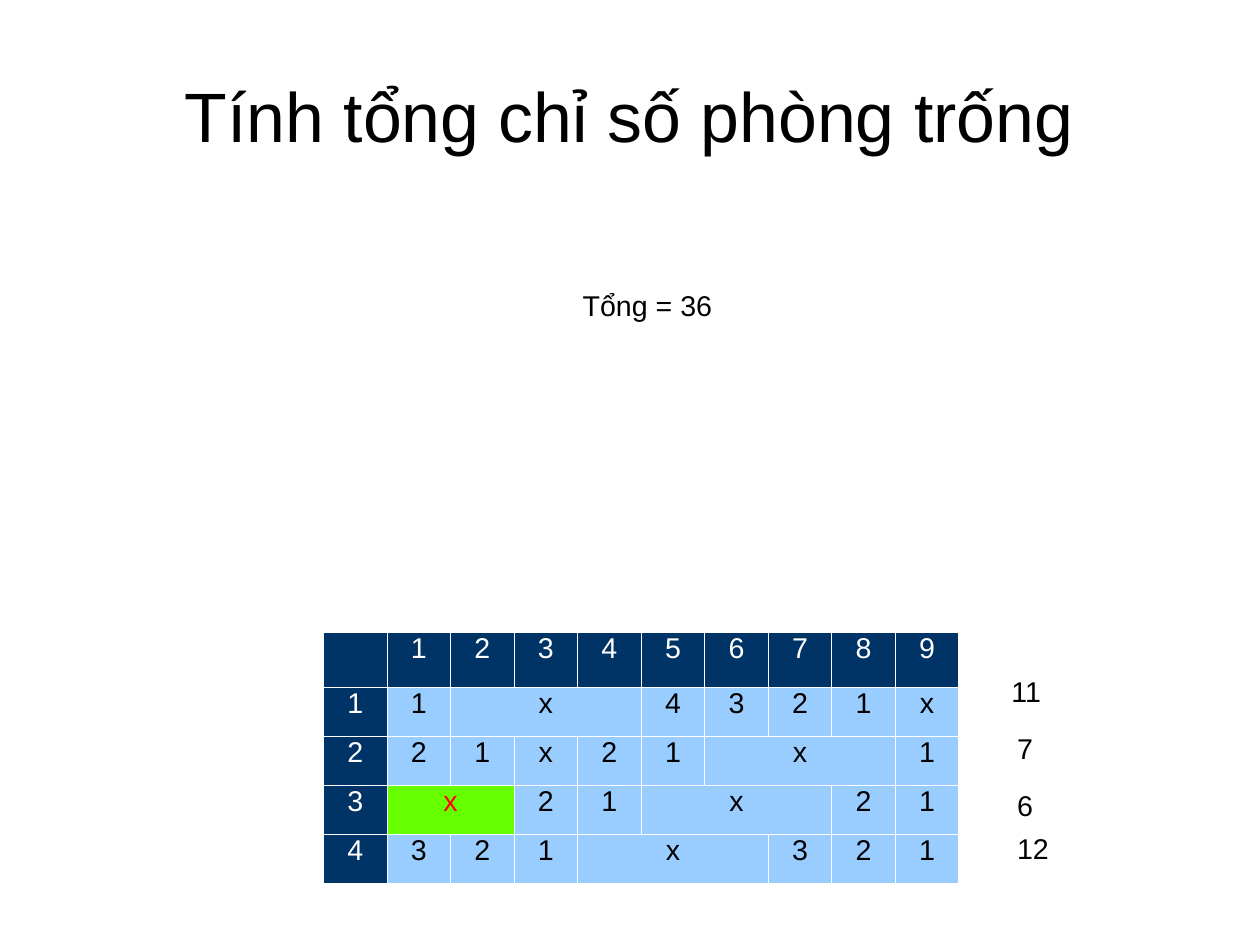
from lxml.etree import SubElement
from pptx import Presentation
from pptx.dml.color import RGBColor
from pptx.enum.text import MSO_ANCHOR as Anchor, MSO_AUTO_SIZE as Fit, PP_ALIGN as Align
from pptx.oxml import parse_xml
from pptx.oxml.ns import nsdecls
from pptx.util import Cm, Inches, Pt

TITLE = "Tính tổng chỉ số phòng trống"
TOTAL = "Tổng = 36"

# "-" continues the cell to its left
ROOMS = [
    ["", "1", "2", "3", "4", "5", "6", "7", "8", "9"],
    ["1", "1", "x", "-", "-", "4", "3", "2", "1", "x"],
    ["2", "2", "1", "x", "2", "1", "x", "-", "-", "1"],
    ["3", "x", "-", "2", "1", "x", "-", "-", "2", "1"],
    ["4", "3", "2", "1", "x", "-", "-", "3", "2", "1"],
]
NEW = (3, 1)  # row and column of the highlighted booking
# text, left, top, width
SUMS = [
    ("11", 8.75, 5.87, 0.47),
    ("7", 8.8, 6.37, 0.34),
    ("6", 8.8, 6.87, 0.34),
    ("12", 8.8, 7.25, 0.48),
]

LEFT, TOP, WIDTH = 2.83, 5.53, 5.56
HEAD, ROW = 0.48, 0.43
NAVY, SKY, GREEN = "003366", "99CCFF", "66FF00"
WHITE, BLACK, RED = "FFFFFF", "000000", "FF0000"


def color(code):
    """Turn a hex string into a colour."""
    return RGBColor.from_string(code)


def style(frame, size, code, space, align):
    """Format the one paragraph of a text frame."""
    para = frame.paragraphs[0]
    para.alignment = align
    para.line_spacing = space
    for run in para.runs:
        run.font.name = "Arial"
        run.font.size = Pt(size)
        run.font.color.rgb = color(code)


def label(text, left, top, width, height=0.38, size=18, align=Align.LEFT):
    """Add a text box and return its frame."""
    box = slide.shapes.add_textbox(
        Inches(left), Inches(top), Inches(width), Inches(height))
    frame = box.text_frame
    frame.text = text
    frame.word_wrap = False
    frame.auto_size = Fit.SHAPE_TO_FIT_TEXT
    style(frame, size, BLACK, 0.93, align)
    return frame


def border(cell):
    """Draw thin white lines on all four sides of a cell."""
    props = cell._tc.get_or_add_tcPr()
    for spot, side in enumerate(("lnL", "lnR", "lnT", "lnB")):
        line = parse_xml(f'<a:{side} {nsdecls("a")} w="{Pt(0.57)}"><a:solidFill/></a:{side}>')
        SubElement(line[0], line[0].tag.replace("solidFill", "srgbClr"), val=WHITE)
        props.insert(spot, line)


def paint(row, col):
    """Pick the fill and text colours of a cell."""
    if row == 0 or col == 0:
        return NAVY, WHITE
    return (GREEN, RED) if (row, col) == NEW else (SKY, BLACK)


def add_rooms():
    """Add the table of rooms by day."""
    rows, cols = len(ROOMS), len(ROOMS[0])
    table = slide.shapes.add_table(
        rows, cols, Inches(LEFT), Inches(TOP),
        Inches(WIDTH), Inches(HEAD + ROW * (rows - 1))).table
    for r, line in enumerate(ROOMS):
        table.rows[r].height = Inches(ROW if r else HEAD)
        start = 0
        for c, text in enumerate(line):
            cell = table.cell(r, c)
            start = start if text == "-" else c
            fill, ink = paint(r, start)
            cell.fill.solid()
            cell.fill.fore_color.rgb = color(fill)
            border(cell)
            if text != "-":
                cell.text_frame.text = text
                style(cell.text_frame, 18, ink, 0.81, Align.CENTER)
            elif line[c + 1] != "-":
                table.cell(r, start).merge(cell)


deck = Presentation()
deck.slide_width, deck.slide_height = Cm(28), Cm(21)
slide = deck.slides.add_slide(deck.slide_layouts[6])

title = label(TITLE, 0.55, 0.33, 9.92, 1.38, 44, Align.CENTER)
title.word_wrap = True
title.auto_size = Fit.NONE
title.vertical_anchor = Anchor.MIDDLE
title.margin_left = title.margin_right = title.margin_bottom = 0
title.margin_top = Inches(0.04)

add_rooms()
for item in SUMS:
    label(*item)
label(TOTAL, 5, 2.5, 1.33)

deck.save("out.pptx")
